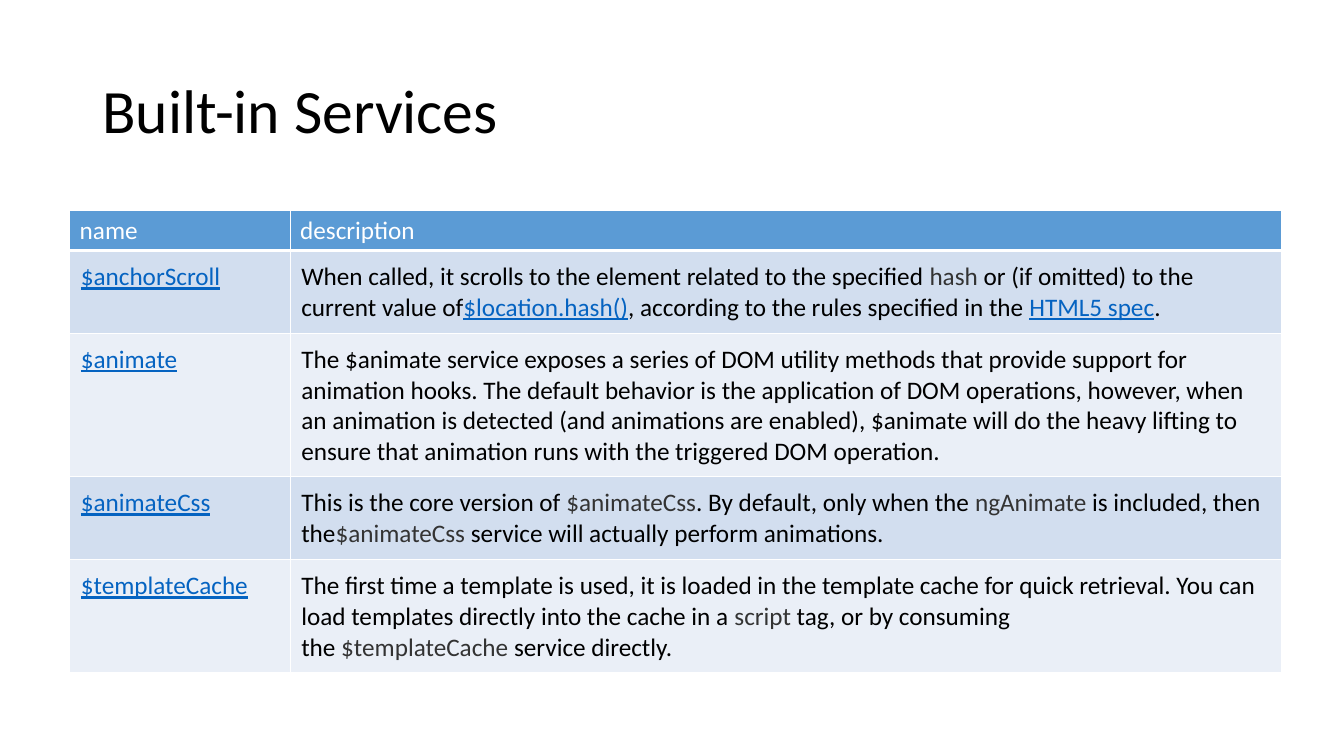
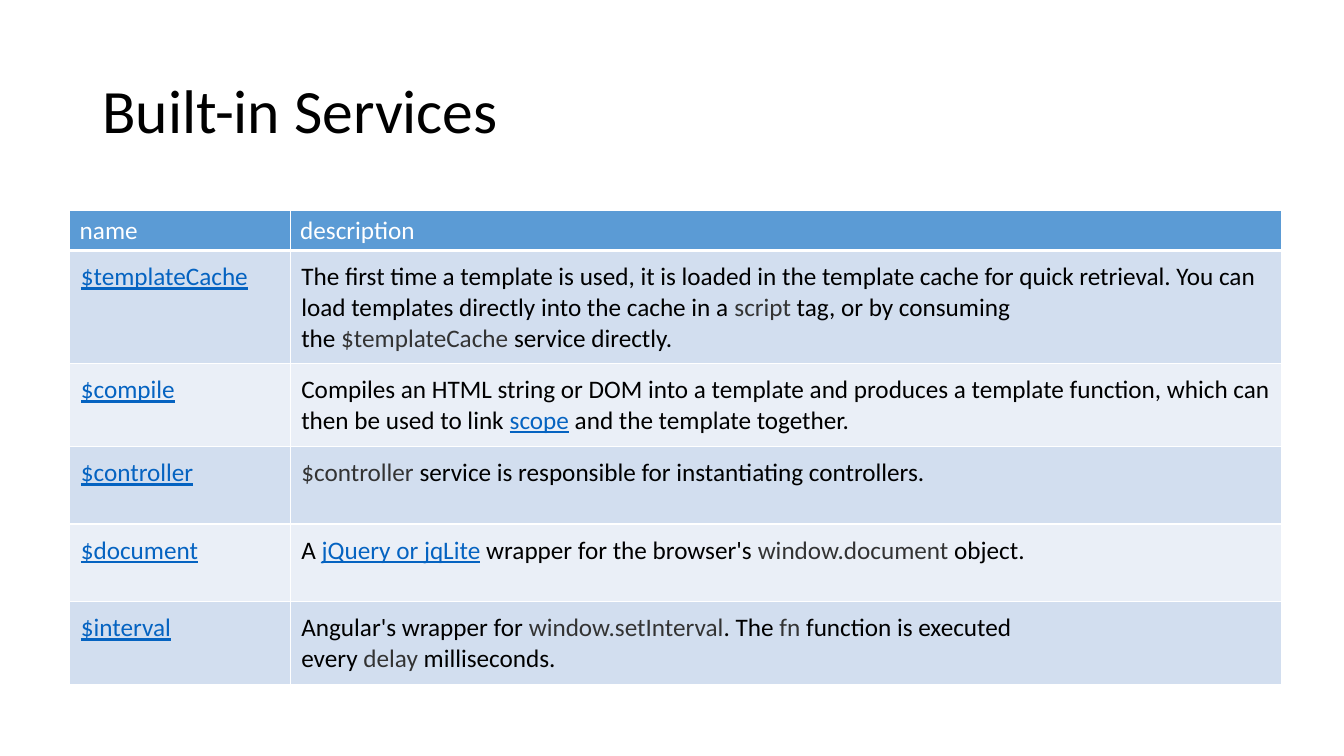
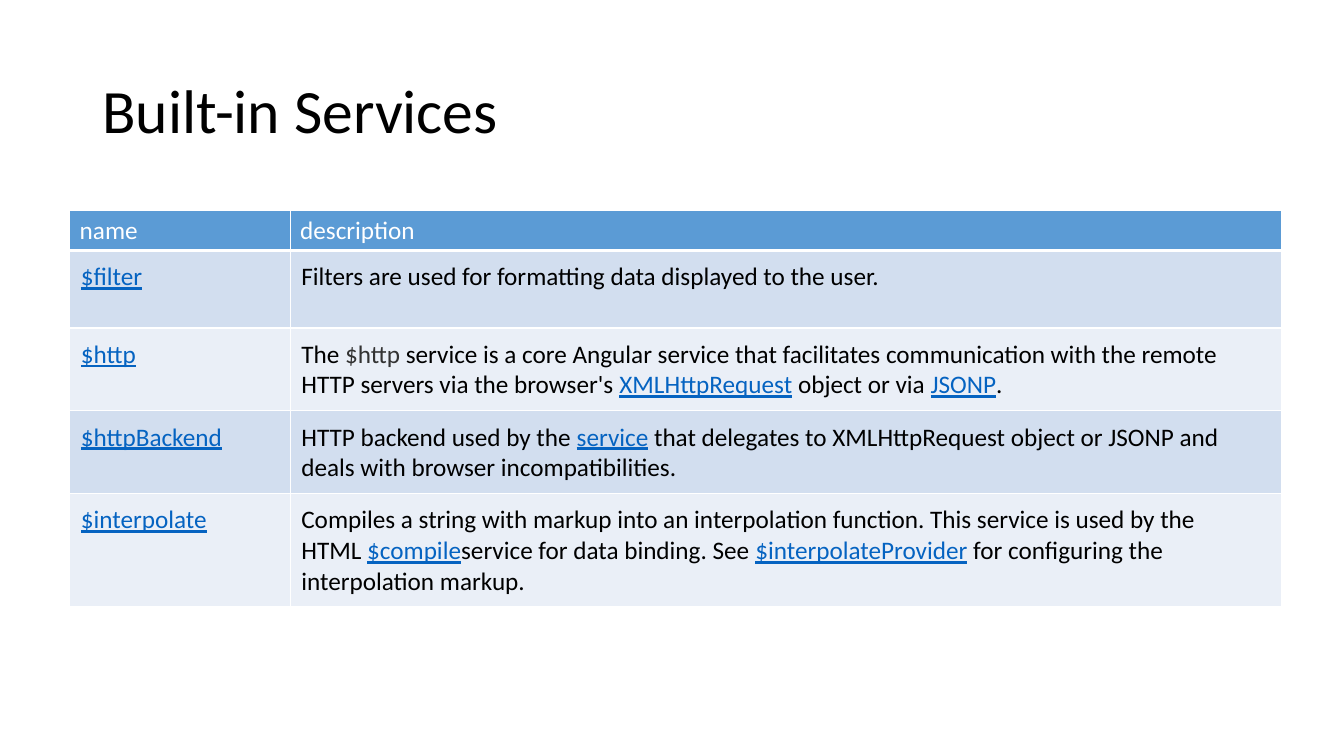
import pptx
import pptx.dml.color
import pptx.enum.text
import pptx.oxml
import pptx.oxml.ns
import pptx.util

Pt = pptx.util.Pt

# Rows of each page; |code| marks a code word and |@link| a link
TEMPLATE_CACHE = (
    "$templateCache",
    "The first time a template is used, it is loaded in the template cache for quick "
    "retrieval. You can load templates directly into the cache in a |script| tag, or by "
    "consuming the |$templateCache| service directly.")

PAGES = [
    [
        ("$anchorScroll",
         "When called, it scrolls to the element related to the specified |hash| or (if "
         "omitted) to the current value of|@$location.hash()|, according to the rules "
         "specified in the |@HTML5 spec|."),
        ("$animate",
         "The $animate service exposes a series of DOM utility methods that provide support "
         "for animation hooks. The default behavior is the application of DOM operations, "
         "however, when an animation is detected (and animations are enabled), $animate will "
         "do the heavy lifting to ensure that animation runs with the triggered DOM operation."),
        ("$animateCss",
         "This is the core version of |$animateCss|. By default, only when the |ngAnimate| is "
         "included, then the|$animateCss| service will actually perform animations."),
        TEMPLATE_CACHE,
    ],
    [
        TEMPLATE_CACHE,
        ("$compile",
         "Compiles an HTML string or DOM into a template and produces a template function, "
         "which can then be used to link |@scope| and the template together."),
        ("$controller",
         "|$controller| service is responsible for instantiating controllers."),
        ("$document",
         "A |@jQuery or jqLite| wrapper for the browser's |window.document| object."),
        ("$interval",
         "Angular's wrapper for |window.setInterval|. The |fn| function is executed every "
         "|delay| milliseconds."),
    ],
    [
        ("$filter", "Filters are used for formatting data displayed to the user."),
        ("$http",
         "The |$http| service is a core Angular service that facilitates communication with "
         "the remote HTTP servers via the browser's |@XMLHttpRequest| object or via |@JSONP|."),
        ("$httpBackend",
         "HTTP backend used by the |@service| that delegates to XMLHttpRequest object or "
         "JSONP and deals with browser incompatibilities."),
        ("$interpolate",
         "Compiles a string with markup into an interpolation function. This service is used "
         "by the HTML |@$compile|service for data binding. See |@$interpolateProvider| for "
         "configuring the interpolation markup."),
    ],
]


def color(value):
    return pptx.dml.color.RGBColor.from_string(value)


def split_marks(text):
    """Yield (words, kind); a space that touches a mark does not break."""
    no_break = chr(160)
    parts = text.split("|")
    for index, part in enumerate(parts):
        if index % 2:
            yield part.lstrip("@"), "link" if part.startswith("@") else "code"
            continue
        if index > 0 and part.startswith(" "):
            part = no_break + part[1:]
        if index < len(parts) - 1 and part.endswith(" "):
            part = part[:-1] + no_break
        if part:
            yield part, "plain"


class ServiceDeck:
    FONT = "Calibri"
    TITLE_SIZE, TABLE_SIZE = 44, 18
    INK = {"plain": "000000", "code": "333333", "link": "0563C1", "header": "FFFFFF"}
    HEADER_FILL, BAND_FILLS = "5B9BD5", ("D2DEEF", "EAEFF7")
    BORDER = "FFFFFF"
    COLUMNS = (157.5, 708.5)
    HEADER_HEIGHT, ROW_HEIGHT = 26.64, 55.44
    CELL_INSET = 8

    def __init__(self):
        self.deck = pptx.Presentation()
        self.deck.slide_width, self.deck.slide_height = Pt(960), Pt(540)
        self.page = None

    def new_page(self):
        self.page = self.deck.slides.add_slide(self.deck.slide_layouts[6])

    def style(self, span, size, kind="plain"):
        span.font.name, span.font.size = self.FONT, Pt(size)
        span.font.bold = False
        span.font.underline = kind == "link"
        span.font.color.rgb = color(self.INK[kind])

    def title(self, text):
        box = self.page.shapes.add_textbox(Pt(66), Pt(28.75), Pt(828), Pt(104.4))
        frame = box.text_frame
        frame.word_wrap = True
        frame.vertical_anchor = pptx.enum.text.MSO_ANCHOR.MIDDLE
        frame.text = text
        para = frame.paragraphs[0]
        para.line_spacing = 0.9
        self.style(para.runs[0], self.TITLE_SIZE)

    def borders(self, cell, bottom=1):
        properties = cell._tc.get_or_add_tcPr()
        for index, (side, width) in enumerate(zip("LRTB", (1, 1, 1, bottom))):
            properties.insert(index, pptx.oxml.parse_xml(
                f'<a:ln{side} {pptx.oxml.ns.nsdecls("a")} w="{Pt(width)}"><a:solidFill>'
                f'<a:srgbClr val="{self.BORDER}"/></a:solidFill></a:ln{side}>'))

    def fill(self, cell, value):
        cell.fill.solid()
        cell.fill.fore_color.rgb = color(value)

    def header_cell(self, cell, text):
        cell.text_frame.text = text
        self.style(cell.text_frame.paragraphs[0].runs[0], self.TABLE_SIZE, "header")
        self.fill(cell, self.HEADER_FILL)
        self.borders(cell, bottom=3)

    def body_cell(self, cell, text, band):
        cell.margin_left = cell.margin_right = Pt(self.CELL_INSET)
        cell.margin_top = cell.margin_bottom = Pt(self.CELL_INSET)
        para = cell.text_frame.paragraphs[0]
        for words, kind in split_marks(text):
            span = para.add_run()
            span.text = words
            self.style(span, self.TABLE_SIZE, kind)
        self.fill(cell, band)
        self.borders(cell)

    def table(self, headings, services):
        heights = [self.HEADER_HEIGHT] + [self.ROW_HEIGHT] * len(services)
        table = self.page.shapes.add_table(
            len(heights), len(self.COLUMNS), Pt(49.75), Pt(150),
            Pt(sum(self.COLUMNS)), Pt(sum(heights))).table
        for column, width in zip(table.columns, self.COLUMNS):
            column.width = Pt(width)
        for row, height in zip(table.rows, heights):
            row.height = Pt(height)
        for column, heading in enumerate(headings):
            self.header_cell(table.cell(0, column), heading)
        for row, (name, description) in enumerate(services, 1):
            band = self.BAND_FILLS[(row - 1) % 2]
            self.body_cell(table.cell(row, 0), f"|@{name}|", band)
            self.body_cell(table.cell(row, 1), description, band)


def main():
    show = ServiceDeck()
    for services in PAGES:
        show.new_page()
        show.title("Built-in Services")
        show.table(("name", "description"), services)
    show.deck.save("out.pptx")


if __name__ == "__main__":
    main()
